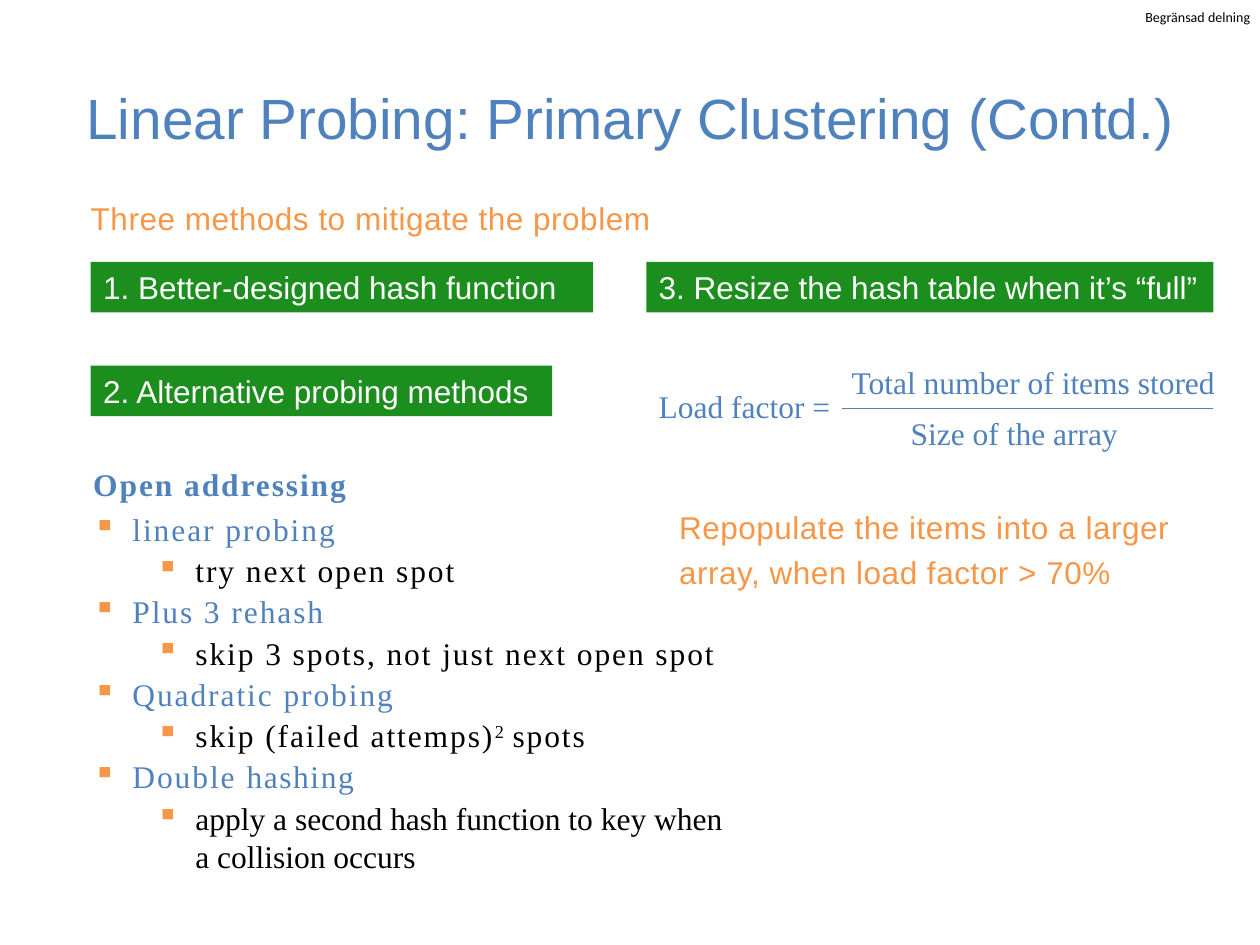
from typing import NamedTuple

from lxml.etree import SubElement
from pptx import Presentation
from pptx.dml.color import RGBColor
from pptx.enum.shapes import MSO_CONNECTOR, MSO_SHAPE
from pptx.enum.text import MSO_ANCHOR, MSO_AUTO_SIZE, PP_ALIGN
from pptx.oxml.ns import qn
from pptx.util import Cm, Pt

BLUE, ORANGE, GREEN = "4F81BD", "F79646", "1B8E1D"
BLACK, WHITE = "000000", "FFFFFF"
SANS, SERIF = "Arial", "Times New Roman"


class Box(NamedTuple):
    x: float
    y: float
    w: float
    h: float = 1.02


class Label(NamedTuple):
    text: str
    box: Box


class Run(NamedTuple):
    text: str
    spacing: float = 1.1
    baseline: int = 0


class Method(NamedTuple):
    name: list[Run]
    detail: list[Run]


BANNERS = [
    Label("1. Better-designed hash function", Box(1.83, 5.28, 10.13)),
    Label("2. Alternative probing methods", Box(1.83, 7.37, 9.3)),
    Label("3. Resize the hash table when it’s “full”", Box(13.03, 5.28, 11.43)),
]
FORMULA = [
    Label("Load factor =", Box(13.03, 7.67, 4.01)),
    Label("Total number of items stored", Box(16.92, 7.19, 7.92)),
    Label("Size of the array", Box(18.11, 8.23, 4.72)),
]
CALLOUTS = [
    Label("Three methods to mitigate the problem", Box(1.83, 3.84, 12.45, 0.86)),
    Label("Repopulate the items into a larger array, when load factor > 70%",
          Box(13.69, 10.06, 10.77, 1.8)),
]
METHODS = [
    Method([Run("linear probing")], [Run("try next open spot")]),
    Method([Run("Plus 3 rehash")], [Run("skip 3 spots, not just next open spot")]),
    Method([Run("Quadratic probing")],
           [Run("skip (failed attemps)"), Run("2 ", baseline=30), Run("spots")]),
    Method([Run("Double "), Run("hashing", 0.9)],
           [Run("apply a second hash function to key when a collision occurs", 0)]),
]


def rgb(color: str) -> RGBColor:
    return RGBColor.from_string(color)


def add_run(p, run: Run, font: str, color: str, size: float = 18, bold: bool = False) -> None:
    r = p.add_run()
    r.text = run.text
    r.font.name, r.font.size, r.font.bold = font, Pt(size), bold
    r.font.color.rgb = rgb(color)
    rpr = r.font._element
    if run.spacing:
        rpr.set("spc", str(round(run.spacing * 100)))
    if run.baseline:
        rpr.set("baseline", str(run.baseline * 1000))


def add_text_frame(s, box: Box, wrap: bool = True):
    tf = s.shapes.add_textbox(*map(Cm, box)).text_frame
    tf.word_wrap = wrap
    tf.auto_size = MSO_AUTO_SIZE.SHAPE_TO_FIT_TEXT
    return tf


def clear_margins(tf, top: float = 0) -> None:
    tf.margin_left = tf.margin_right = tf.margin_bottom = 0
    tf.margin_top = Cm(top)


def add_banner(s, label: Label) -> None:
    sp = s.shapes.add_shape(MSO_SHAPE.RECTANGLE, *map(Cm, label.box))
    sp.shadow.inherit = False
    sp.fill.solid()
    sp.fill.fore_color.rgb = rgb(GREEN)
    sp.line.fill.background()
    tf = sp.text_frame
    tf.word_wrap = True
    tf.vertical_anchor = MSO_ANCHOR.TOP
    p = tf.paragraphs[0]
    p.alignment = PP_ALIGN.LEFT
    add_run(p, Run(label.text, 0), SANS, WHITE)


def add_callout(s, label: Label) -> None:
    tf = add_text_frame(s, label.box)
    clear_margins(tf, 0.03)
    p = tf.paragraphs[0]
    p.line_spacing = 1.2
    add_run(p, Run(label.text, 0.3), SANS, ORANGE)


def add_bullet(tf, runs: list[Run], level: int, color: str) -> None:
    p = tf.add_paragraph()
    p.level = level
    p.space_before = p.space_after = Pt(1)
    ppr = p._p.get_or_add_pPr()
    ppr.set("marL", str(Cm(0.79 + 1.27 * level)))
    ppr.set("indent", str(-Cm(0.79)))
    SubElement(SubElement(ppr, qn("a:buClr")), qn("a:srgbClr"), val=ORANGE)
    SubElement(ppr, qn("a:buChar"), char="▪")
    for run in runs:
        add_run(p, run, SERIF, color)


def add_methods(s) -> None:
    tf = add_text_frame(s, Box(1.63, 9.25, 13.39, 8.51))
    p = tf.paragraphs[0]
    p.space_after = Pt(3)
    add_run(p, Run("Open addressing"), SERIF, BLUE, bold=True)
    for method in METHODS:
        add_bullet(tf, method.name, 0, BLUE)
        add_bullet(tf, method.detail, 1, BLACK)


def add_formula(s) -> None:
    for label in FORMULA:
        tf = add_text_frame(s, label.box, wrap=False)
        add_run(tf.paragraphs[0], Run(label.text, 0), SERIF, BLUE)
    bar = s.shapes.add_connector(
        MSO_CONNECTOR.STRAIGHT, Cm(24.46), Cm(8.23), Cm(16.97), Cm(8.23))
    bar.line.color.rgb = rgb(BLUE)
    bar.line.width = Pt(0.75)
    SubElement(bar._element.spPr, qn("a:effectLst"))


def add_title(s) -> None:
    title = s.shapes.title
    title.left, title.top, title.width, title.height = map(Cm, Box(1.27, 0.76, 22.86, 3.18))
    tf = title.text_frame
    tf.auto_size = MSO_AUTO_SIZE.NONE
    tf.vertical_anchor = MSO_ANCHOR.MIDDLE
    p = tf.paragraphs[0]
    p.alignment = PP_ALIGN.CENTER
    add_run(p, Run("Linear Probing: Primary Clustering (Contd.)", 0), SANS, BLUE, 32.4)


def add_sharing_label(s) -> None:
    tf = add_text_frame(s, Box(23.09, 0.18, 2.18, 0.33), wrap=False)
    clear_margins(tf)
    add_run(tf.paragraphs[0], Run("Begränsad delning", 0), "Calibri", BLACK, 8)


def main() -> None:
    prs = Presentation()
    prs.slide_width, prs.slide_height = Cm(25.4), Cm(19.05)
    s = prs.slides.add_slide(prs.slide_layouts[5])
    add_sharing_label(s)
    add_title(s)
    for banner in BANNERS:
        add_banner(s, banner)
    for callout in CALLOUTS:
        add_callout(s, callout)
    add_formula(s)
    add_methods(s)
    prs.save("out.pptx")


if __name__ == "__main__":
    main()
